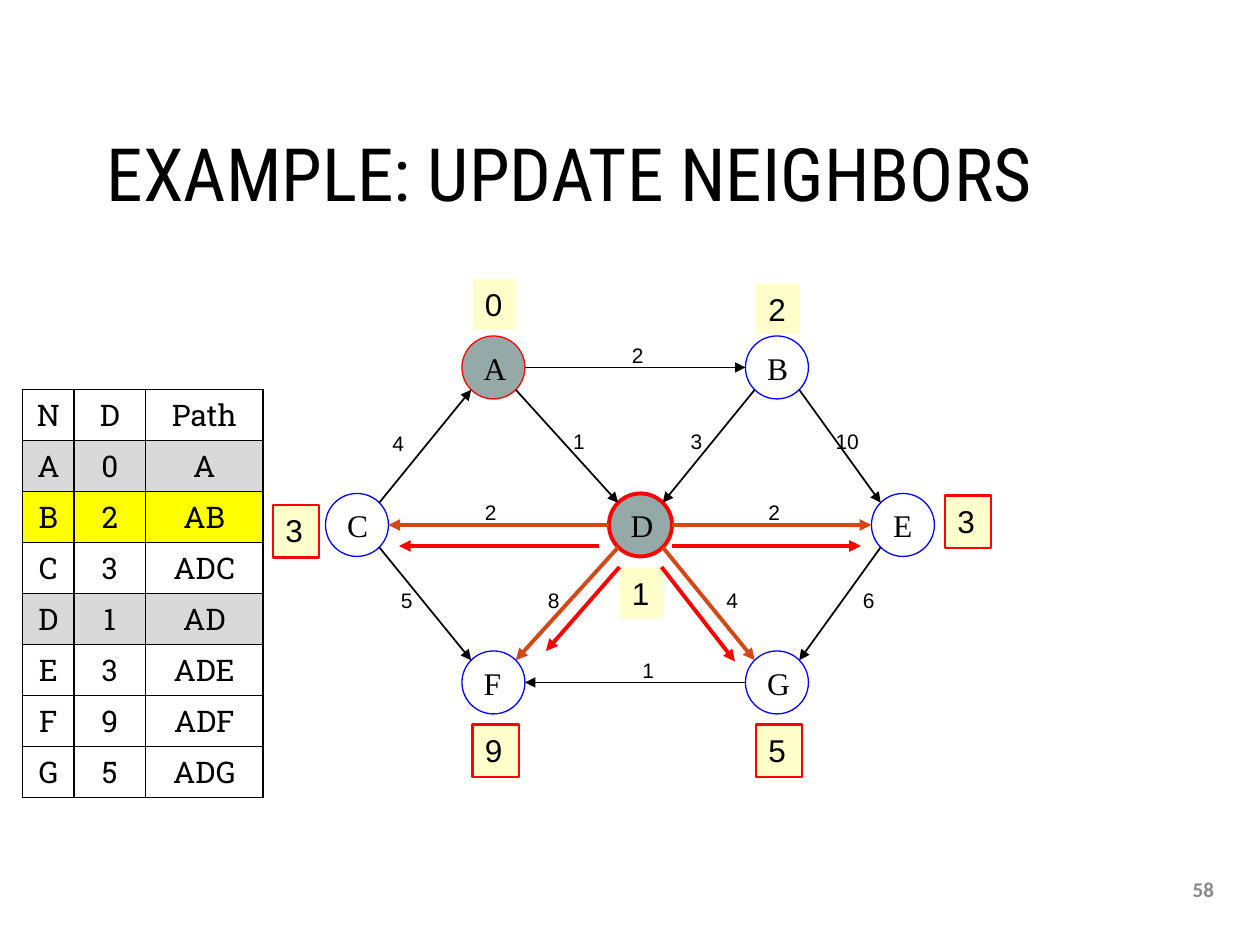
import math
from typing import NamedTuple, Optional

import lxml.etree
import pptx
import pptx.dml.color
import pptx.enum.shapes
import pptx.enum.text
import pptx.oxml.ns
import pptx.util

RGBColor = pptx.dml.color.RGBColor
Anchor = pptx.enum.text.MSO_ANCHOR
Align = pptx.enum.text.PP_ALIGN
Shape = pptx.enum.shapes.MSO_SHAPE

BLACK = RGBColor(0x00, 0x00, 0x00)
WHITE = RGBColor(0xFF, 0xFF, 0xFF)
RED = RGBColor(0xFF, 0x00, 0x00)
BLUE = RGBColor(0x00, 0x00, 0xFF)
ORANGE = RGBColor(0xD3, 0x48, 0x17)
SLATE = RGBColor(0x96, 0xA9, 0xA9)
CREAM = RGBColor(0xFF, 0xFF, 0xCC)
YELLOW = RGBColor(0xFF, 0xFF, 0x00)
LIGHT_GRAY = RGBColor(0xD9, 0xD9, 0xD9)
MID_GRAY = RGBColor(0x89, 0x89, 0x89)

COLUMNS, ROWS = 120, 90
CELL = pptx.util.Inches(10) // COLUMNS
RADIUS = 3


class Node(NamedTuple):
    column: float
    row: float
    outline: RGBColor = BLUE
    width: float = 0.75
    fill: Optional[RGBColor] = None


class Edge(NamedTuple):
    start: str
    end: str
    weight: str
    column: float
    row: float
    color: RGBColor = BLACK
    width: float = 1


class Distance(NamedTuple):
    text: str
    column: float
    row: float
    updated: bool = False


class Arrow(NamedTuple):
    start: tuple[float, float]
    end: tuple[float, float]


NODES = {
    "A": Node(47, 35, RED, 0.75, SLATE),
    "B": Node(74, 35),
    "C": Node(34, 50),
    "D": Node(61, 50, RED, 2.25, SLATE),
    "E": Node(86, 50),
    "F": Node(47, 65),
    "G": Node(74, 65),
}
EDGES = [
    Edge("A", "B", "2", 60.8, 33.8),
    Edge("A", "D", "1", 55.2, 42),
    Edge("B", "D", "3", 66.4, 42),
    Edge("B", "E", "10", 80.8, 42),
    Edge("C", "A", "4", 38, 42.2),
    Edge("C", "F", "5", 38.8, 57.2),
    Edge("E", "G", "6", 82.8, 57.2),
    Edge("G", "F", "1", 61.8, 63.8),
    Edge("D", "C", "2", 46.8, 48.8, ORANGE, 2.25),
    Edge("D", "E", "2", 73.8, 48.8, ORANGE, 2.25),
    Edge("D", "F", "8", 52.8, 57.2, ORANGE, 2.25),
    Edge("D", "G", "4", 69.8, 57.2, ORANGE, 2.25),
]
DISTANCES = [
    Distance("0", 45, 26.6),
    Distance("2", 72, 27),
    Distance("1", 59, 54.1),
    Distance("3", 26, 48.1, True),
    Distance("3", 90, 47.2, True),
    Distance("9", 45, 69, True),
    Distance("5", 72, 69, True),
]
UPDATES = [
    Arrow((57, 52), (38, 52)),
    Arrow((64, 52), (82, 52)),
    Arrow((59, 54), (52, 62)),
    Arrow((63, 54), (70, 63)),
]
TABLE = [
    ("N", "D", "Path"), ("A", "0", "A"), ("B", "2", "AB"), ("C", "3", "ADC"),
    ("D", "1", "AD"), ("E", "3", "ADE"), ("F", "9", "ADF"), ("G", "5", "ADG"),
]
TABLE_COLUMNS = (4.9, 6.8, 11.2)
TABLE_ROW = 4.86
ROW_FILLS = {"A": LIGHT_GRAY, "B": YELLOW, "D": LIGHT_GRAY}


def grid(*counts: float) -> list[int]:
    """Turn grid counts into lengths."""
    return [round(count * CELL) for count in counts]


def write_text(frame, text: str, *, font: str, size: float, color: RGBColor = BLACK,
               bold: bool = False, align=Align.LEFT, anchor=Anchor.MIDDLE,
               wrap: bool = False, line_spacing: Optional[float] = None) -> None:
    """Write one formatted paragraph into a text frame."""
    frame.word_wrap = wrap
    frame.vertical_anchor = anchor
    paragraph = frame.paragraphs[0]
    paragraph.alignment = align
    paragraph.line_spacing = line_spacing
    run = paragraph.add_run()
    run.text = text
    run.font.name, run.font.size, run.font.bold = font, pptx.util.Pt(size), bold
    run.font.color.rgb = color


def add_label(slide, text: str, box: tuple, **text_format) -> None:
    """Add a text box at left, top, width and height on the grid."""
    write_text(slide.shapes.add_textbox(*grid(*box)).text_frame, text, **text_format)


def add_outlined(slide, kind, box: tuple, fill: Optional[RGBColor],
                 outline: Optional[RGBColor], width: float):
    """Add a preset shape with optional fill and outline."""
    shape = slide.shapes.add_shape(kind, *grid(*box))
    shape.shadow.inherit = False
    if fill is None:
        shape.fill.background()
    else:
        shape.fill.solid()
        shape.fill.fore_color.rgb = fill
    if outline is None:
        shape.line.fill.background()
    else:
        shape.line.color.rgb = outline
        shape.line.width = pptx.util.Pt(width)
    return shape


def add_node(slide, name: str, node: Node) -> None:
    """Add a lettered graph node."""
    box = (node.column - RADIUS, node.row - RADIUS, 2 * RADIUS, 2 * RADIUS)
    shape = add_outlined(slide, Shape.OVAL, box, node.fill, node.outline, node.width)
    write_text(shape.text_frame, name, font="Times New Roman", size=18)


def add_distance(slide, distance: Distance) -> None:
    """Add the distance box of a node."""
    size = (4.4, 5) if distance.updated else (4.2, 4.8)
    shape = add_outlined(slide, Shape.RECTANGLE, (distance.column, distance.row, *size),
                         CREAM, RED if distance.updated else None, 1.25)
    write_text(shape.text_frame, distance.text, font="Arial", size=18, anchor=Anchor.TOP)


def add_arrow(slide, arrow: Arrow, color: RGBColor, width: float) -> None:
    """Add a straight arrow pointing at its end."""
    connector = slide.shapes.add_connector(
        pptx.enum.shapes.MSO_CONNECTOR.STRAIGHT, *grid(*arrow.start, *arrow.end))
    connector.line.color.rgb = color
    connector.line.width = pptx.util.Pt(width)
    qn = pptx.oxml.ns.qn
    lxml.etree.SubElement(connector.line._get_or_add_ln(), qn("a:tailEnd"), type="triangle")
    lxml.etree.SubElement(connector._element.spPr, qn("a:effectLst"))


def add_edge(slide, edge: Edge) -> None:
    """Add a weighted arrow between the rims of two nodes."""
    start, end = NODES[edge.start], NODES[edge.end]
    reach = RADIUS if start.row == end.row else RADIUS / math.sqrt(2)
    across = math.copysign(reach, end.column - start.column)
    down = 0 if start.row == end.row else math.copysign(reach, end.row - start.row)
    arrow = Arrow((start.column + across, start.row + down),
                  (end.column - across, end.row - down))
    add_arrow(slide, arrow, edge.color, edge.width)
    width = 2.4 + 1.2 * len(edge.weight)
    add_label(slide, edge.weight, (edge.column - width / 2, edge.row - 1.8, width, 3.6),
              font="Arial", size=12)


def add_border(cell) -> None:
    """Draw a thin black border around a table cell."""
    qn = pptx.oxml.ns.qn
    properties = cell._tc.get_or_add_tcPr()
    for position, side in enumerate(("lnL", "lnR", "lnT", "lnB")):
        line = lxml.etree.Element(qn(f"a:{side}"), w=str(pptx.util.Pt(1)))
        fill = lxml.etree.SubElement(line, qn("a:solidFill"))
        lxml.etree.SubElement(fill, qn("a:srgbClr"), val=str(BLACK))
        properties.insert(position, line)


def add_path_table(slide) -> None:
    """Add the table of distances and paths."""
    box = grid(2.16, 37.1, sum(TABLE_COLUMNS), TABLE_ROW * len(TABLE))
    table = slide.shapes.add_table(len(TABLE), len(TABLE_COLUMNS), *box).table
    for column, width in zip(table.columns, grid(*TABLE_COLUMNS)):
        column.width = width
    for row, values in zip(table.rows, TABLE):
        for cell, text in zip(row.cells, values):
            cell.margin_top = cell.margin_bottom = pptx.util.Inches(0.04)
            cell.vertical_anchor = Anchor.MIDDLE
            cell.fill.solid()
            cell.fill.fore_color.rgb = ROW_FILLS.get(values[0], WHITE)
            write_text(cell.text_frame, text, font="Roboto Slab", size=17,
                       align=Align.CENTER, wrap=True)
            add_border(cell)


def main() -> None:
    """Build and save the slide."""
    presentation = pptx.Presentation()
    presentation.slide_width, presentation.slide_height = grid(COLUMNS, ROWS)
    slide = presentation.slides.add_slide(presentation.slide_layouts[6])
    add_label(slide, "EXAMPLE: UPDATE NEIGHBORS", (9, 6.4, 102, 21.1),
              font="Roboto Condensed", size=42, wrap=True, line_spacing=0.9)
    add_label(slide, "58", (111.4, 82.3, 6.4, 4.8), font="Calibri", size=12,
              color=MID_GRAY, bold=True, align=Align.CENTER, wrap=True)
    for name, node in NODES.items():
        add_node(slide, name, node)
    for edge in EDGES:
        add_edge(slide, edge)
    for distance in DISTANCES:
        add_distance(slide, distance)
    for arrow in UPDATES:
        add_arrow(slide, arrow, RED, 2.25)
    add_path_table(slide)
    presentation.save("out.pptx")


if __name__ == "__main__":
    main()
